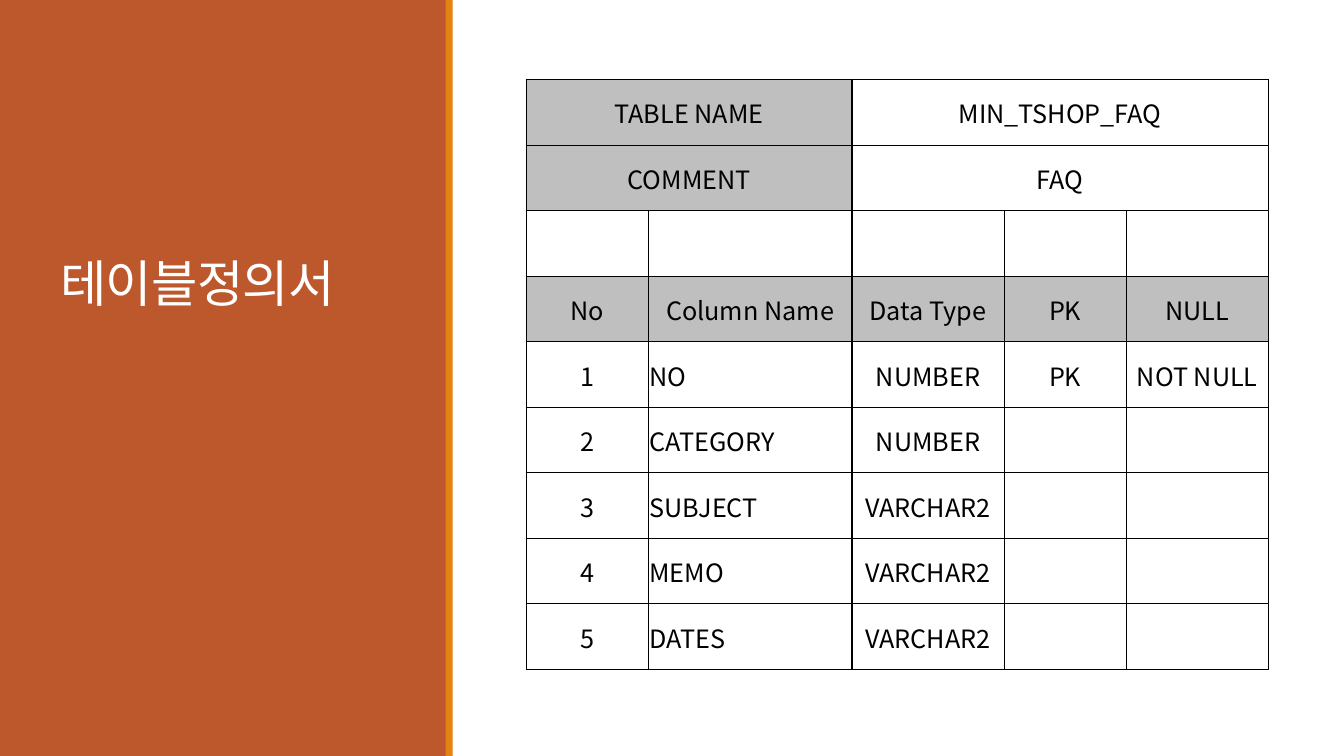
import lxml.etree
import pptx
import pptx.dml.color
import pptx.enum.shapes
import pptx.enum.text
import pptx.oxml.ns
import pptx.util

TITLE = "테이블정의서"
DEFINITION = [
    ("TABLE NAME", "", "MIN_TSHOP_FAQ", "", ""),
    ("COMMENT", "", "FAQ", "", ""),
    ("", "", "", "", ""),
    ("No", "Column Name", "Data Type", "PK", "NULL"),
    ("1", "NO", "NUMBER", "PK", "NOT NULL"),
    ("2", "CATEGORY", "NUMBER", "", ""),
    ("3", "SUBJECT", "VARCHAR2", "", ""),
    ("4", "MEMO", "VARCHAR2", "", ""),
    ("5", "DATES", "VARCHAR2", "", ""),
]
SUMMARY_ROWS = (0, 1)
HEADING_ROW = 3
NAME_COLUMN = 1
VALUE_COLUMN = 2
COLUMN_WIDTHS = (1.21, 2.02, 1.51, 1.21, 1.41)
ROW_HEIGHT = 0.65
SLIDE_WIDTH, SLIDE_HEIGHT = 13.33, 7.5
BANDS = [(0, 4.43, "BD582C"), (4.42, 0.07, "E48312")]

Inches = pptx.util.Inches
Align = pptx.enum.text.PP_ALIGN
Anchor = pptx.enum.text.MSO_ANCHOR


def color(hex_value):
    return pptx.dml.color.RGBColor.from_string(hex_value)


def set_font(paragraph, face, size, hex_value):
    paragraph.font.name = face
    paragraph.font.size = pptx.util.Pt(size)
    paragraph.font.color.rgb = color(hex_value)


def add_borders(cell):
    properties = cell._tc.get_or_add_tcPr()
    for side in ("a:lnL", "a:lnR", "a:lnT", "a:lnB"):
        border = lxml.etree.SubElement(properties, pptx.oxml.ns.qn(side), w="12700")
        fill = lxml.etree.SubElement(border, pptx.oxml.ns.qn("a:solidFill"))
        lxml.etree.SubElement(fill, pptx.oxml.ns.qn("a:srgbClr"), val="000000")


def add_bands(slide):
    for left, width, hex_value in BANDS:
        band = slide.shapes.add_shape(
            pptx.enum.shapes.MSO_SHAPE.RECTANGLE,
            Inches(left), 0, Inches(width), Inches(SLIDE_HEIGHT))
        band.shadow.inherit = False
        band.fill.solid()
        band.fill.fore_color.rgb = color(hex_value)
        band.line.fill.background()


def add_title(slide):
    frame = slide.shapes.add_textbox(
        Inches(0.5), Inches(0.65), Inches(3.5), Inches(2.5)).text_frame
    frame.word_wrap = True
    frame.vertical_anchor = Anchor.BOTTOM
    heading = frame.paragraphs[0]
    heading.line_spacing = 0.85
    set_font(heading, "Calibri", 36, "FFFFFF")
    run = heading.add_run()
    run.text = TITLE
    run._r.get_or_add_rPr().set("spc", "-50")


def add_definition(slide):
    table = slide.shapes.add_table(
        len(DEFINITION), len(COLUMN_WIDTHS), Inches(5.22), Inches(0.79),
        Inches(sum(COLUMN_WIDTHS)), Inches(ROW_HEIGHT * len(DEFINITION))).table
    table.first_row = False
    table.horz_banding = False
    for column, width in zip(table.columns, COLUMN_WIDTHS):
        column.width = Inches(width)
    for row_index, entries in enumerate(DEFINITION):
        table.rows[row_index].height = Inches(ROW_HEIGHT)
        for column_index, entry in enumerate(entries):
            cell = table.cell(row_index, column_index)
            add_borders(cell)
            is_label = row_index in SUMMARY_ROWS and column_index < VALUE_COLUMN
            if is_label or row_index == HEADING_ROW:
                cell.fill.solid()
                cell.fill.fore_color.rgb = color("BFBFBF")
            else:
                cell.fill.background()
            cell.margin_left = cell.margin_right = cell.margin_top = Inches(0.01)
            cell.margin_bottom = 0
            cell.vertical_anchor = Anchor.MIDDLE
            cell.text = entry
            paragraph = cell.text_frame.paragraphs[0]
            is_name = row_index > HEADING_ROW and column_index == NAME_COLUMN
            paragraph.alignment = Align.LEFT if is_name else Align.CENTER
            set_font(paragraph, "Noto Sans CJK KR", 18, "000000")
    for row_index in SUMMARY_ROWS:
        table.cell(row_index, 0).merge(table.cell(row_index, VALUE_COLUMN - 1))
        table.cell(row_index, VALUE_COLUMN).merge(
            table.cell(row_index, len(COLUMN_WIDTHS) - 1))


def main():
    deck = pptx.Presentation()
    deck.slide_width = Inches(SLIDE_WIDTH)
    deck.slide_height = Inches(SLIDE_HEIGHT)
    slide = deck.slides.add_slide(deck.slide_layouts[6])
    add_bands(slide)
    add_title(slide)
    add_definition(slide)
    deck.save("out.pptx")


if __name__ == "__main__":
    main()
